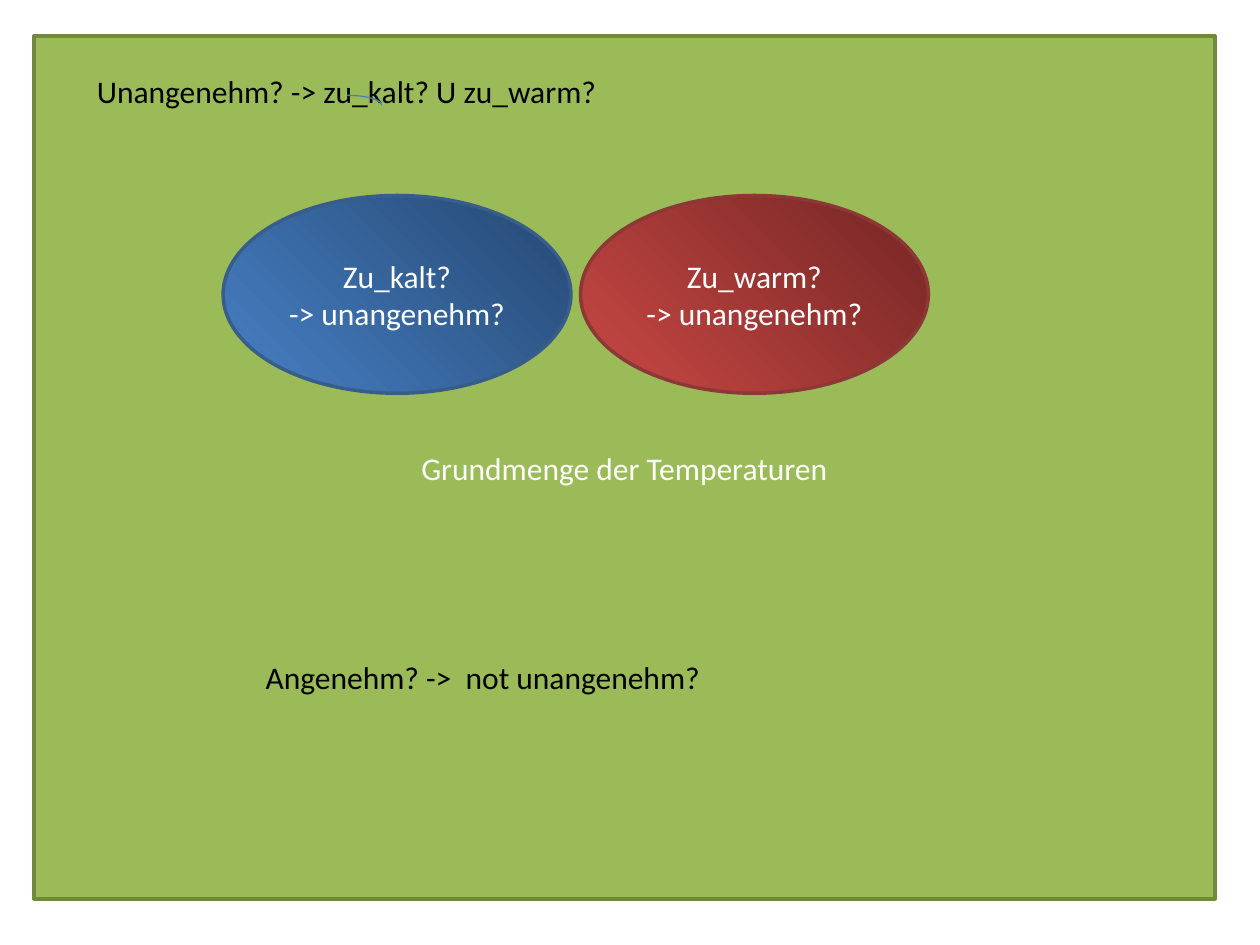
from pptx import Presentation
from pptx.dml.color import RGBColor
from pptx.enum.shapes import MSO_SHAPE
from pptx.enum.text import MSO_ANCHOR, MSO_AUTO_SIZE, PP_ALIGN
from pptx.util import Pt

RECT, OVAL, ARC = MSO_SHAPE.RECTANGLE, MSO_SHAPE.OVAL, MSO_SHAPE.ARC
MIDDLE, GROW = MSO_ANCHOR.MIDDLE, MSO_AUTO_SIZE.SHAPE_TO_FIT_TEXT
LEFT, CENTER = PP_ALIGN.LEFT, PP_ALIGN.CENTER

COLORS = {
    "white": "FFFFFF", "black": "000000",
    "green": "9BBB59", "green_line": "71893F",
    "red_dark": "742624", "red_light": "C94844", "red_line": "8C3836",
    "blue_dark": "254872", "blue_light": "4780C5", "blue_line": "385D8A",
    "arc_line": "4A7EBB",
}
FONT = {"name": "Calibri", "size": Pt(18)}


def rgb(name):
    return RGBColor.from_string(COLORS[name])


def write(tf, text, color, align):
    tf.word_wrap = True
    tf.text = text
    for p in tf.paragraphs:
        p.alignment = align
        for r in p.runs:
            for key, value in FONT.items():
                setattr(r.font, key, value)
            r.font.color.rgb = rgb(color)


prs = Presentation()
prs.slide_width, prs.slide_height = Pt(720), Pt(540)
s = prs.slides.add_slide(prs.slide_layouts[6])

# Base set and its two subsets: kind, box, fill colours, line, text
sets = [
    (RECT, (19.5, 20.5, 674.7, 493.2), ["green"], "green_line",
     "Grundmenge der Temperaturen"),
    (OVAL, (331.75, 111.75, 198.75, 113), ["red_dark", "red_light"], "red_line",
     "Zu_warm?\n-> unangenehm?"),
    (OVAL, (127.5, 111.75, 198.75, 113), ["blue_dark", "blue_light"], "blue_line",
     "Zu_kalt?\n-> unangenehm?"),
]
for kind, box, fills, line, text in sets:
    sp = s.shapes.add_shape(kind, *map(Pt, box))
    sp.shadow.inherit = False
    if len(fills) == 1:
        sp.fill.solid()
        sp.fill.fore_color.rgb = rgb(fills[0])
    else:
        sp.fill.gradient()
        sp.fill.gradient_angle = 225
        for position, (stop, name) in enumerate(zip(sp.fill.gradient_stops, fills)):
            stop.position = position
            stop.color.rgb = rgb(name)
    sp.line.color.rgb = rgb(line)
    sp.line.width = Pt(2)
    sp.text_frame.vertical_anchor = MIDDLE
    write(sp.text_frame, text, "white", CENTER)

# Rules above and below the subsets
rules = [
    ((48.25, 37.5, 533, 29), "Unangenehm? -> zu_kalt? U zu_warm?"),
    ((144.75, 372.25, 408.25, 29), "Angenehm? ->  not unangenehm?"),
]
for box, text in rules:
    sp = s.shapes.add_textbox(*map(Pt, box))
    write(sp.text_frame, text, "black", LEFT)
    sp.text_frame.auto_size = GROW

# Small arc over the first rule
sp = s.shapes.add_shape(ARC, Pt(178.5), Pt(54.5), Pt(39.75), Pt(11.5))
sp.shadow.inherit = False
sp.fill.background()
sp.line.color.rgb = rgb("arc_line")
sp.line.width = Pt(0.75)

prs.save("out.pptx")
